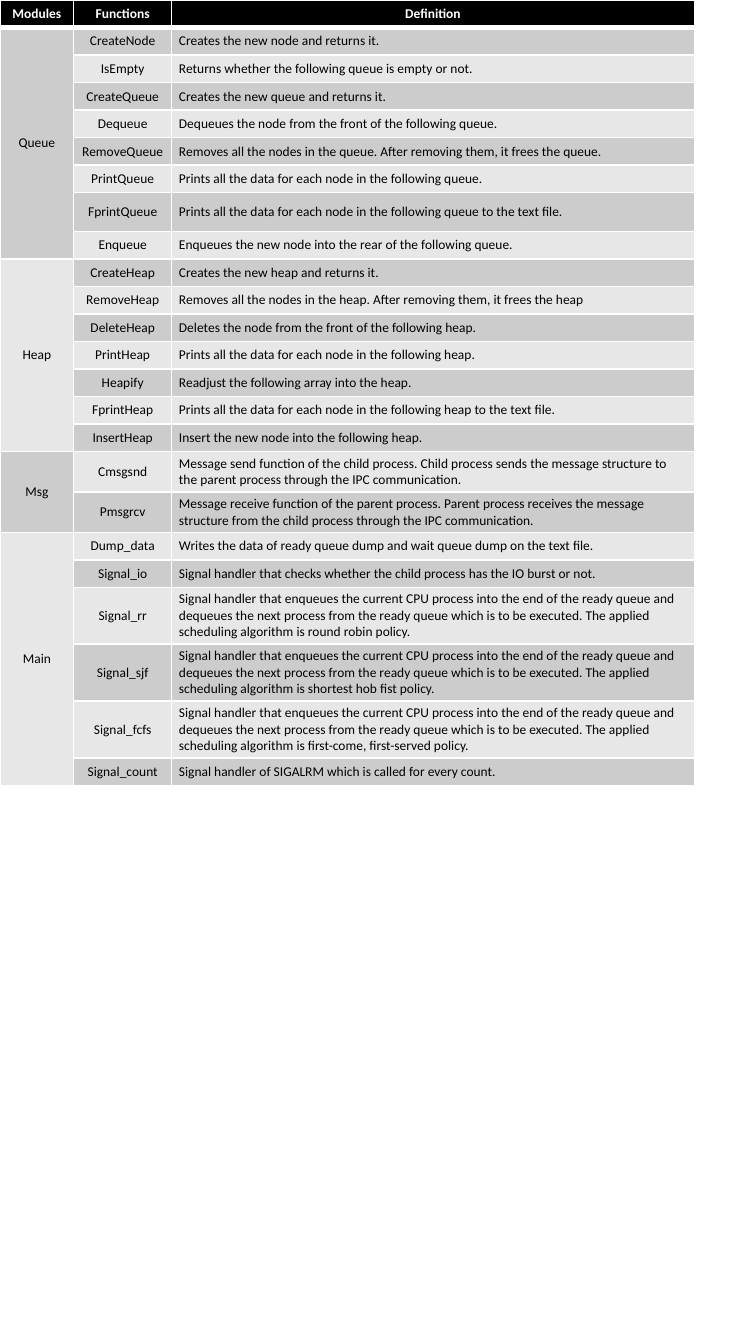
from lxml.etree import SubElement
from pptx import Presentation
from pptx.dml.color import RGBColor
from pptx.enum.text import MSO_ANCHOR, PP_ALIGN
from pptx.oxml.ns import qn
from pptx.util import Inches, Pt

COLORS = {"header": "000000", "dark": "CCCCCC", "light": "E7E7E7", "white": "FFFFFF", "text": "000000"}
HEADINGS = ["Modules", "Functions", "Definition"]
COLUMN_WIDTHS = [Inches(0.61), Inches(0.81), Inches(4.32)]
ROW_HEIGHT = Inches(5.24) // 23
TALL_ROWS = {"FprintQueue": Inches(0.32)}
SCHEDULER = (
    "Signal handler that enqueues the current CPU process into the end of the ready queue and "
    "dequeues the next process from the ready queue which is to be executed. "
    "The applied scheduling algorithm is {} policy."
)
MODULES = {
    "Queue": [
        ("CreateNode", "Creates the new node and returns it."),
        ("IsEmpty", "Returns whether the following queue is empty or not."),
        ("CreateQueue", "Creates the new queue and returns it."),
        ("Dequeue", "Dequeues the node from the front of the following queue."),
        ("RemoveQueue", "Removes all the nodes in the queue. After removing them, it frees the queue."),
        ("PrintQueue", "Prints all the data for each node in the following queue."),
        ("FprintQueue", "Prints all the data for each node in the following queue to the text file."),
        ("Enqueue", "Enqueues the new node into the rear of the following queue."),
    ],
    "Heap": [
        ("CreateHeap", "Creates the new heap and returns it."),
        ("RemoveHeap", "Removes all the nodes in the heap. After removing them, it frees the heap"),
        ("DeleteHeap", "Deletes the node from the front of the following heap."),
        ("PrintHeap", "Prints all the data for each node in the following heap."),
        ("Heapify", "Readjust the following array into the heap."),
        ("FprintHeap", "Prints all the data for each node in the following heap to the text file."),
        ("InsertHeap", "Insert the new node into the following heap."),
    ],
    "Msg": [
        ("Cmsgsnd", "Message send function of the child process. Child process sends the message "
                    "structure to the parent process through the IPC communication."),
        ("Pmsgrcv", "Message receive function of the parent process. Parent process receives the message "
                    "structure from the child process through the IPC communication."),
    ],
    "Main": [
        ("Dump_data", "Writes the data of ready queue dump and wait queue dump on the text file."),
        ("Signal_io", "Signal handler that checks whether the child process has the IO burst or not."),
        ("Signal_rr", SCHEDULER.format("round robin")),
        ("Signal_sjf", SCHEDULER.format("shortest hob fist")),
        ("Signal_fcfs", SCHEDULER.format("first-come, first-served")),
        ("Signal_count", "Signal handler of SIGALRM which is called for every count."),
    ],
}


class TablePage:
    """Hold the text style and the current slide, and draw its table."""

    font = "Calibri"
    size = Pt(8)

    def __init__(self, page):
        self.page = page

    def table(self, left, top, widths, heights):
        frame = self.page.shapes.add_table(len(heights), len(widths), left, top, sum(widths), sum(heights))
        table = frame.table
        for column, width in zip(table.columns, widths):
            column.width = width
        for row, height in zip(table.rows, heights):
            row.height = height
        return table

    def borders(self, cell, **widths):
        properties = cell._tc.get_or_add_tcPr()
        for side in "LRTB":
            line = SubElement(properties, qn(f"a:ln{side}"), w=str(Pt(widths.get(side, 1))))
            fill = SubElement(line, qn("a:solidFill"))
            SubElement(fill, qn("a:srgbClr"), val=COLORS["white"])

    def cell(self, cell, fill, text="", color="text", bold=False, align=PP_ALIGN.CENTER, **borders):
        self.borders(cell, **borders)
        cell.fill.solid()
        cell.fill.fore_color.rgb = RGBColor.from_string(COLORS[fill])
        cell.vertical_anchor = MSO_ANCHOR.MIDDLE
        cell.margin_left = cell.margin_right = Inches(0.06)
        cell.margin_top = cell.margin_bottom = Inches(0.03)
        para = cell.text_frame.paragraphs[0]
        para.alignment = align
        para.font.size = self.size
        if text:
            span = para.add_run()
            span.text = text
            span.font.name = self.font
            span.font.size = self.size
            span.font.bold = bold
            span.font.color.rgb = RGBColor.from_string(COLORS[color])


def band(index):
    return "light" if index % 2 else "dark"


deck = Presentation()
deck.slide_width = Inches(6.25)
deck.slide_height = Inches(11.11)
sheet = TablePage(deck.slides.add_slide(deck.slide_layouts[6]))

functions = [name for entries in MODULES.values() for name, _ in entries]
heights = [ROW_HEIGHT] + [TALL_ROWS.get(name, ROW_HEIGHT) for name in functions]
table = sheet.table(Inches(0), Inches(0), COLUMN_WIDTHS, heights)

for column, heading in enumerate(HEADINGS):
    sheet.cell(table.cell(0, column), "header", heading, color="white", bold=True, B=3)

row = 1
for module_index, (module, entries) in enumerate(MODULES.items()):
    first_row = row
    for name, definition in entries:
        top = 3 if row == 1 else 1
        fill = band(row - 1)
        label = module if row == first_row else ""
        sheet.cell(table.cell(row, 0), band(module_index), label, T=top)
        sheet.cell(table.cell(row, 1), fill, name, T=top)
        sheet.cell(table.cell(row, 2), fill, definition, align=PP_ALIGN.LEFT, T=top)
        row += 1
    table.cell(first_row, 0).merge(table.cell(row - 1, 0))

deck.save("out.pptx")
